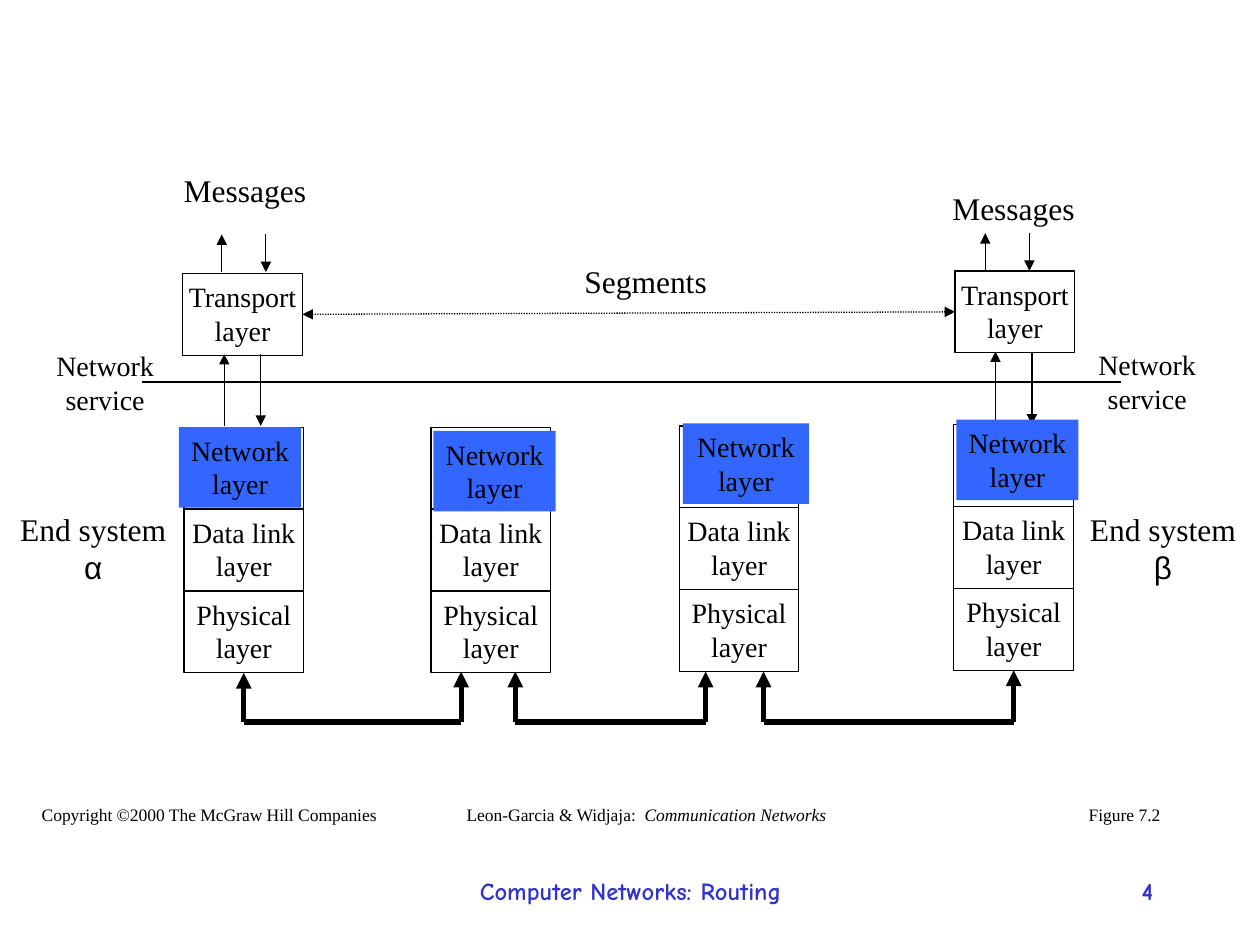
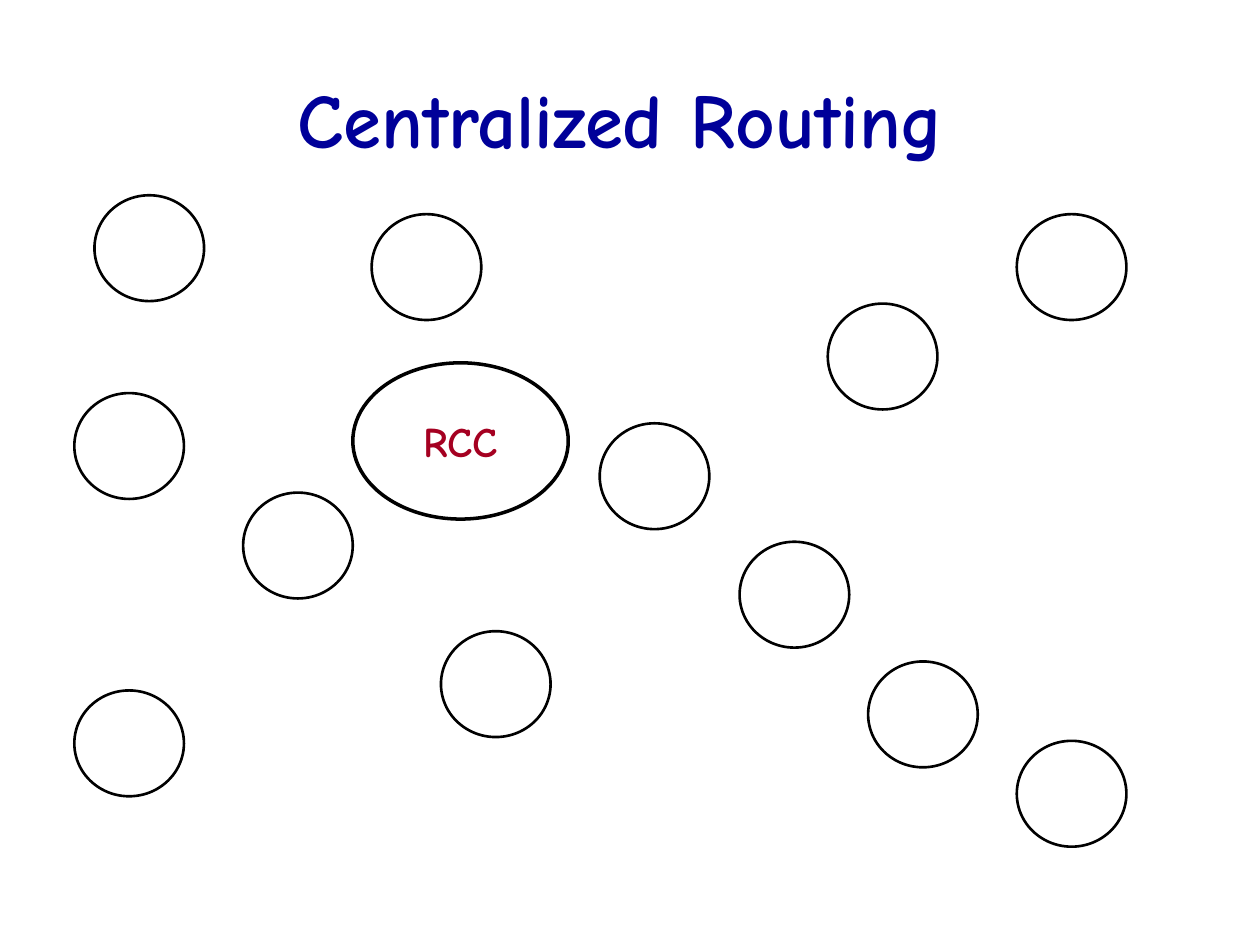
from pptx import Presentation
from pptx.dml.color import RGBColor
from pptx.enum.dml import MSO_LINE
from pptx.enum.shapes import MSO_CONNECTOR, MSO_SHAPE
from pptx.enum.text import MSO_ANCHOR, MSO_AUTO_SIZE, PP_ALIGN
from pptx.oxml.ns import qn
from pptx.util import Emu, Inches, Pt
from lxml.etree import SubElement

SLIDE_WIDTH, SLIDE_HEIGHT = Inches(10), Inches(7.5)
COLUMNS = 100
CELL = SLIDE_WIDTH / COLUMNS

BLACK = RGBColor(0, 0, 0)
LAYER_BLUE = RGBColor(0x33, 0x66, 0xFF)
FOOTER_BLUE = RGBColor(0x33, 0x33, 0xCC)
TITLE_BLUE = RGBColor(0, 0, 0x99)
CENTER_RED = RGBColor(0xA5, 0, 0x21)

SERIF, COMIC, SANS = "Times New Roman", "Comic Neue", "Arial"

FRAME_WIDTH, FRAME_HEIGHT = 9.5, 6.5
BUS_TOP, BUS_BOTTOM = 53.3, 57.3
CREDIT_TOP, CREDIT_HEIGHT = 63.3, 2.7
FOOTER_TOP, FOOTER_HEIGHT = 69, 3.5
NODE_WIDTH, NODE_HEIGHT = 8.7, 8.4

STACKS = [
    (14.6, 33.9, (14.2, 33.9, 9.7)),
    (34.2, 33.9, (34.4, 34.2, 9.7)),
    (53.9, 33.8, (54.2, 33.6, 10)),
    (75.7, 33.7, (75.9, 33.3, 9.7)),
]
TRANSPORTS = [(14.5, 21.7), (75.8, 21.5)]
ARROW_PAIRS = [
    (17.6, 21.1, 18.6, 21.6),
    (78.2, 81.7, 18.5, 21.5),
    (17.8, 20.7, 28.1, 33.8),
    (79, 81.9, 27.9, 33.7),
]
NODES = [
    (7.5, 15.5), (80.7, 58.8), (80.7, 17), (68.9, 52.5),
    (58.7, 43), (5.9, 54.8), (65.7, 24.1), (47.6, 33.6),
    (19.3, 39.1), (29.5, 17), (5.9, 31.2), (35, 50.1),
]


def cells(*counts):
    return [Emu(round(count * CELL)) for count in counts]


def add_span(para, text, size=16, font=SERIF, color=BLACK, bold=False, italic=False):
    span = para.add_run()
    span.text = text
    span.font.size = Pt(size)
    span.font.name = font
    span.font.color.rgb = color
    span.font.bold = bold
    span.font.italic = italic
    return span


def write(box, text, align=PP_ALIGN.CENTER, anchor=MSO_ANCHOR.TOP, wrap=False, **style):
    frame = box.text_frame
    frame.word_wrap = wrap
    frame.auto_size = MSO_AUTO_SIZE.NONE
    frame.vertical_anchor = anchor
    for index, line in enumerate(text.split("\n")):
        para = frame.add_paragraph() if index else frame.paragraphs[0]
        para.alignment = align
        add_span(para, line, **style)
    return frame


def add_label(page, area, text, **style):
    return write(page.shapes.add_textbox(*cells(*area)), text, **style)


def add_outline(page, kind, area, width=0.75):
    shape = page.shapes.add_shape(kind, *cells(*area))
    shape.shadow.inherit = False
    shape.fill.background()
    shape.line.color.rgb = BLACK
    shape.line.width = Pt(width)
    return shape


def add_frame(page, left, top, text=""):
    area = (left, top, FRAME_WIDTH, FRAME_HEIGHT)
    frame = add_outline(page, MSO_SHAPE.RECTANGLE, area)
    if text:
        write(frame, text)
    return frame


def add_network_layer(page, left, top, width):
    area = (left, top, width, 6.4)
    layer = page.shapes.add_shape(MSO_SHAPE.RECTANGLE, *cells(*area))
    layer.shadow.inherit = False
    layer.fill.solid()
    layer.fill.fore_color.rgb = LAYER_BLUE
    layer.line.fill.background()
    write(layer, "Network\nlayer")


def add_line(page, start, end, width=0.75, heads=(), dash=None):
    line = page.shapes.add_connector(MSO_CONNECTOR.STRAIGHT, *cells(*start, *end))
    line.line.color.rgb = BLACK
    line.line.width = Pt(width)
    if dash:
        line.line.dash_style = dash
    for head in heads:
        SubElement(line.line._get_or_add_ln(), qn(f"a:{head}"), type="triangle")
    SubElement(line._element.spPr, qn("a:effectLst"))
    return line


def add_arrow_pair(page, up, down, top, bottom):
    add_line(page, (up, top), (up, bottom), heads=["headEnd"])
    add_line(page, (down, top), (down, bottom), heads=["tailEnd"])


def add_bus(page, left, right):
    risers = [
        add_line(page, (x, BUS_TOP), (x, BUS_BOTTOM), width=3, heads=["headEnd"])
        for x in (left, right)
    ]
    add_line(page, (left, BUS_BOTTOM), (right, BUS_BOTTOM), width=3)
    return risers


def add_stack(page, left, top):
    add_frame(page, left, top)
    add_frame(page, left, top + FRAME_HEIGHT, "Data link\nlayer")
    return add_frame(page, left, top + 2 * FRAME_HEIGHT, "Physical\nlayer")


def add_footer(page, number):
    style = dict(size=14, font=COMIC, color=FOOTER_BLUE, bold=True, wrap=True)
    add_label(page, (34.2, FOOTER_TOP, 31.7, FOOTER_HEIGHT),
              "Computer Networks: Routing", **style)
    add_label(page, (71.7, FOOTER_TOP, 20.8, FOOTER_HEIGHT), number,
              align=PP_ALIGN.RIGHT, **style)


def add_credits(page):
    credits = [
        (2.3, 28.6, "Copyright ©2000 The McGraw Hill Companies"),
        (36, 30.6, "Leon-Garcia & Widjaja:  "),
        (85.4, 7.7, "Figure 7.2"),
    ]
    frames = [
        add_label(page, (left, CREDIT_TOP, width, CREDIT_HEIGHT), text,
                  size=10, anchor=MSO_ANCHOR.MIDDLE)
        for left, width, text in credits
    ]
    add_span(frames[1].paragraphs[0], "Communication Networks", size=10, italic=True)


def build_layers(page):
    add_footer(page, "4")
    add_credits(page)

    physicals = [add_stack(page, left, top) for left, top, _ in STACKS]
    senders = [add_frame(page, *place, "Transport\nlayer") for place in TRANSPORTS]
    for pair in ARROW_PAIRS:
        add_arrow_pair(page, *pair)

    first_middle, last_middle = (
        STACKS[index][0] + FRAME_WIDTH / 2 for index in (0, -1)
    )
    first_riser, _ = add_bus(page, first_middle, 36.6)
    add_bus(page, 40.9, 56)
    _, last_riser = add_bus(page, 60.6, last_middle)
    first_riser.begin_connect(physicals[0], 2)
    last_riser.begin_connect(physicals[-1], 2)

    segments = add_line(page, (24, 24.9), (75.8, 24.8), dash=MSO_LINE.ROUND_DOT,
                        heads=["headEnd", "tailEnd"])
    segments.begin_connect(senders[0], 3)
    segments.end_connect(senders[1], 1)
    add_line(page, (11.3, 30.3), (89, 30.3), width=1)

    for left, top, text in [
        (13.6, 13.1, "Messages"), (74.6, 14.5, "Messages"), (45.4, 20.3, "Segments"),
    ]:
        add_label(page, (left, top, 11.7, 4), text, size=18, align=PP_ALIGN.LEFT)
    for left, top in [(3.5, 27.2), (86.2, 27.1)]:
        add_label(page, (left, top, 9.7, 6.3), "Network\nservice")
    for left, letter in [(0.6, "α"), (85.5, "β")]:
        frame = add_label(page, (left, 40, 13.6, 7), f"End system\n{letter}", size=18)
        frame.paragraphs[1].runs[0].font.name = SANS

    for _, _, place in STACKS:
        add_network_layer(page, *place)


def build_routing(page):
    title = page.shapes.title
    title.left, title.top, title.width, title.height = cells(1.2, 2.8, 96.1, 13.1)
    write(title, "Centralized Routing", anchor=MSO_ANCHOR.MIDDLE, wrap=True,
          size=44, font=COMIC, color=TITLE_BLUE, bold=True)
    center = add_outline(page, MSO_SHAPE.OVAL, (28, 28.8, 17.1, 12.4), width=2)
    write(center, "RCC", anchor=MSO_ANCHOR.MIDDLE,
          size=24, font=COMIC, color=CENTER_RED, bold=True)
    for left, top in NODES:
        add_outline(page, MSO_SHAPE.OVAL, (left, top, NODE_WIDTH, NODE_HEIGHT), width=1.5)


def main():
    deck = Presentation()
    deck.slide_width, deck.slide_height = SLIDE_WIDTH, SLIDE_HEIGHT
    title_only, blank = deck.slide_layouts[5], deck.slide_layouts[6]
    build_layers(deck.slides.add_slide(blank))
    build_routing(deck.slides.add_slide(title_only))
    deck.save("out.pptx")


if __name__ == "__main__":
    main()
